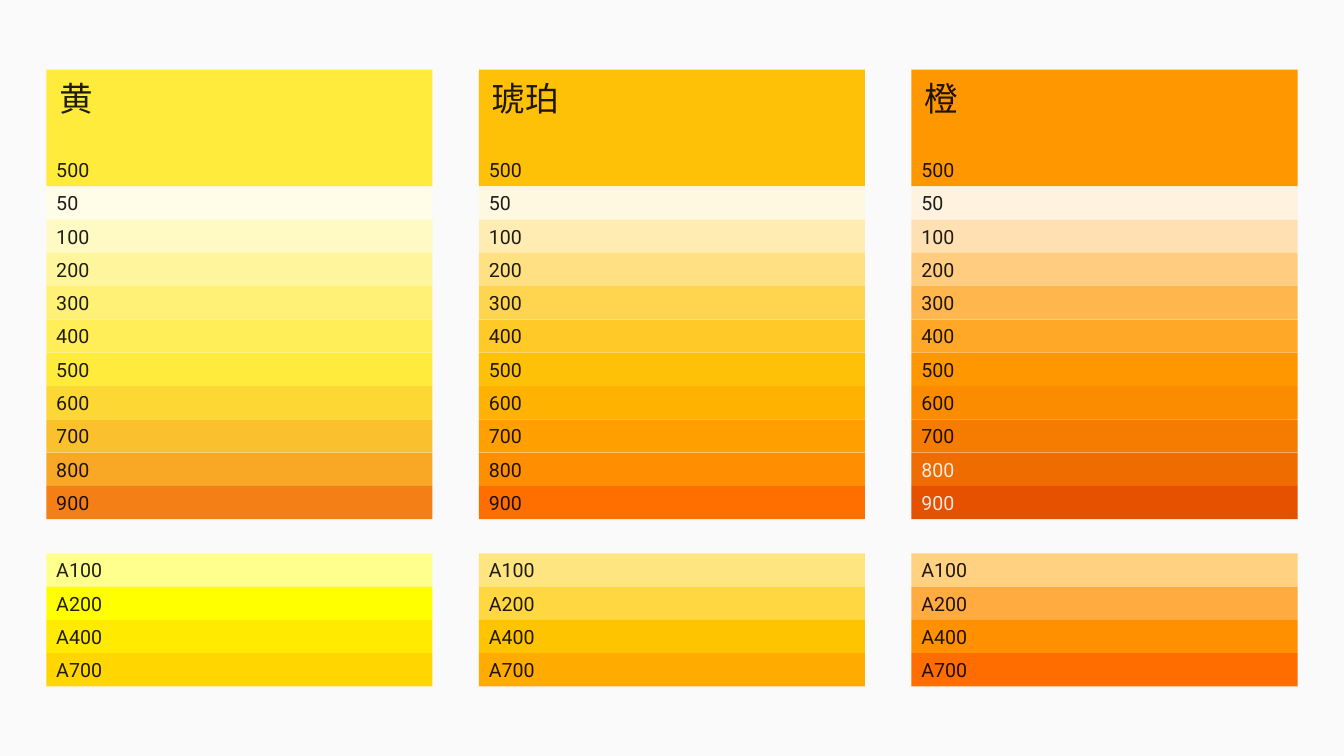
import pptx
import pptx.dml.color
import pptx.enum.shapes
import pptx.enum.text
import pptx.oxml.ns
import pptx.util
from lxml import etree

Inches = pptx.util.Inches
RGBColor = pptx.dml.color.RGBColor
Anchor = pptx.enum.text.MSO_ANCHOR
qn = pptx.oxml.ns.qn

BACKGROUND = RGBColor(0xFA, 0xFA, 0xFA)
BLACK = RGBColor(0x00, 0x00, 0x00)
WHITE = RGBColor(0xFF, 0xFF, 0xFF)


def colours(codes):
    return [RGBColor.from_string(code) for code in codes.split()]


SHADES = ["50"] + [str(shade) for shade in range(100, 1000, 100)]
ACCENTS = ["A100", "A200", "A400", "A700"]
YELLOW = colours("FFFDE7 FFF9C4 FFF59D FFF176 FFEE58 FFEB3B FDD835 FBC02D F9A825 F57F17")
YELLOW_ACCENTS = colours("FFFF8D FFFF00 FFEA00 FFD600")
AMBER = colours("FFF8E1 FFECB3 FFE082 FFD54F FFCA28 FFC107 FFB300 FFA000 FF8F00 FF6F00")
AMBER_ACCENTS = colours("FFE57F FFD740 FFC400 FFAB00")
ORANGE = colours("FFF3E0 FFE0B2 FFCC80 FFB74D FFA726 FF9800 FB8C00 F57C00 EF6C00 E65100")
ORANGE_ACCENTS = colours("FFD180 FFAB40 FF9100 FF6D00")

PALETTES = [
    ("黄", 0.54, YELLOW, YELLOW_ACCENTS, []),
    ("琥珀", 0.88, AMBER, AMBER_ACCENTS, []),
    ("橙", 0.54, ORANGE, ORANGE_ACCENTS, ["800", "900"]),
]

LEFT, COLUMN_PITCH, COLUMN_WIDTH = 0.46, 4.29, 3.83
HEADER_TOP, HEADER_HEIGHT = 0.69, 1.16
SHADES_TOP, ACCENTS_TOP, ROW_HEIGHT = 1.85, 5.49, 0.33


def write(frame, text, size=14, font="Roboto", colour=BLACK, opacity=87,
          anchor=Anchor.MIDDLE, wrap=True):
    frame.word_wrap = wrap
    frame.vertical_anchor = anchor
    paragraph = frame.paragraphs[0]
    paragraph.alignment = pptx.enum.text.PP_ALIGN.LEFT
    run = paragraph.add_run()
    run.text = text
    run.font.size = pptx.util.Pt(size)
    run.font.name = font
    run.font.color.rgb = colour
    properties = run.font._element
    etree.SubElement(properties, qn("a:ea")).set("typeface", font)
    ink = properties.find(".//" + qn("a:srgbClr"))
    etree.SubElement(ink, qn("a:alpha")).set("val", str(opacity * 1000))


class PaletteSlide:
    def __init__(self, deck):
        self.slide = deck.slides.add_slide(deck.slide_layouts[6])
        self.slide.background.fill.solid()
        self.slide.background.fill.fore_color.rgb = BACKGROUND

    def swatch(self, left, top, height, fill, label, **text_format):
        swatch = self.slide.shapes.add_shape(
            pptx.enum.shapes.MSO_SHAPE.RECTANGLE,
            Inches(left), Inches(top), Inches(COLUMN_WIDTH), Inches(height))
        swatch.shadow.inherit = False
        swatch.fill.solid()
        swatch.fill.fore_color.rgb = fill
        swatch.line.fill.background()
        write(swatch.text_frame, label, **text_format)

    def heading(self, left, top, width, name):
        heading = self.slide.shapes.add_textbox(
            Inches(left), Inches(top), Inches(width), Inches(0.5))
        heading.text_frame.auto_size = pptx.enum.text.MSO_AUTO_SIZE.SHAPE_TO_FIT_TEXT
        write(heading.text_frame, name, size=24, font="Noto Sans CJK SC",
              anchor=Anchor.TOP, wrap=False)

    def stack(self, left, top, labels, fills, light_labels):
        for row, (label, fill) in enumerate(zip(labels, fills)):
            self.swatch(left, top + row * ROW_HEIGHT, ROW_HEIGHT, fill, label,
                        colour=WHITE if label in light_labels else BLACK)

    def palette(self, left, name, name_width, shades, accents, light_labels):
        primary = shades[SHADES.index("500")]
        self.swatch(left, HEADER_TOP, HEADER_HEIGHT, primary, "500", anchor=Anchor.BOTTOM)
        self.heading(left + 0.03, HEADER_TOP + 0.03, name_width, name)
        self.stack(left, SHADES_TOP, SHADES, shades, light_labels)
        self.stack(left, ACCENTS_TOP, ACCENTS, accents, light_labels)


def main():
    deck = pptx.Presentation()
    deck.slide_width = Inches(13.33)
    deck.slide_height = Inches(7.5)
    palette_slide = PaletteSlide(deck)
    for column, palette in enumerate(PALETTES):
        palette_slide.palette(LEFT + column * COLUMN_PITCH, *palette)
    deck.save("out.pptx")


if __name__ == "__main__":
    main()
